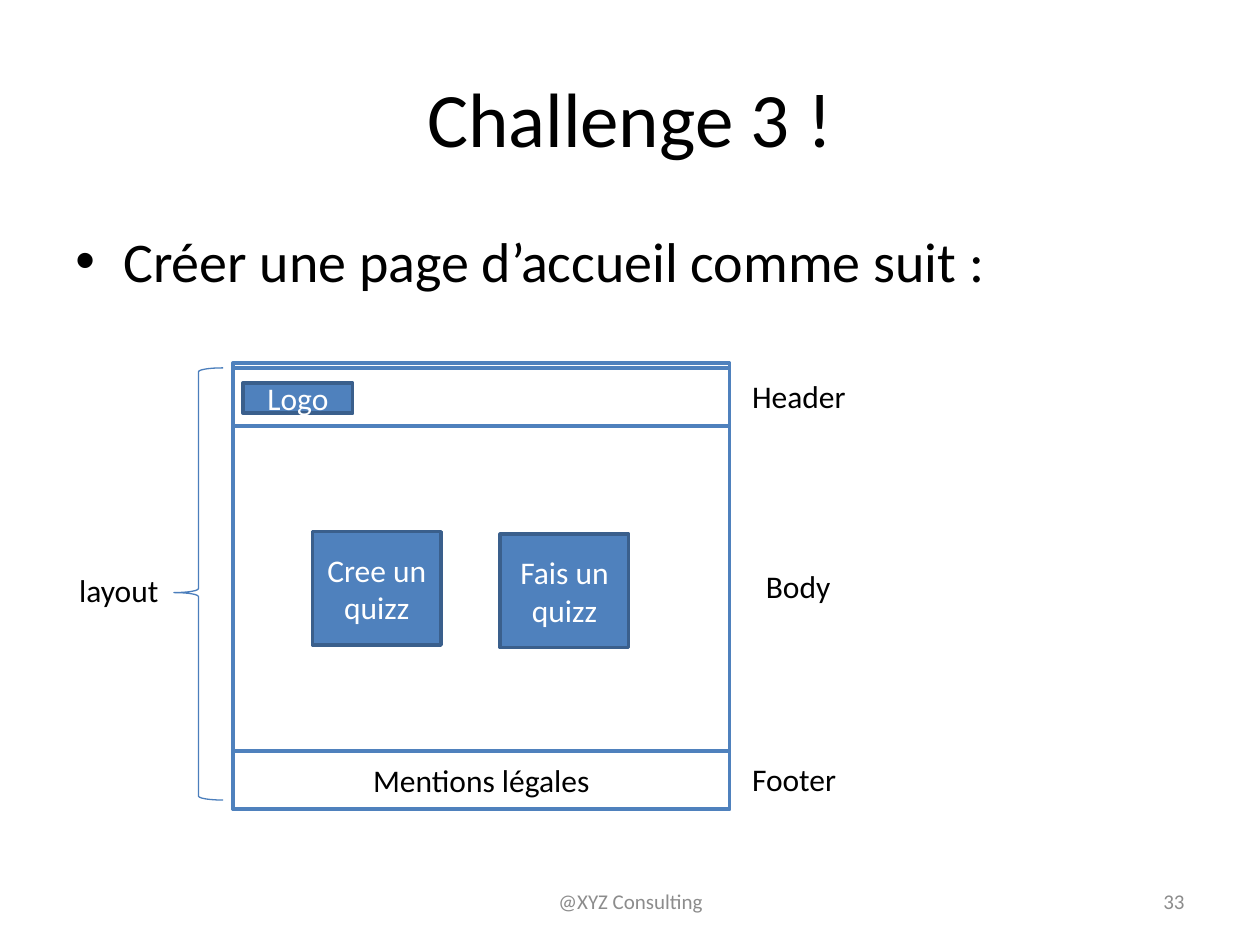
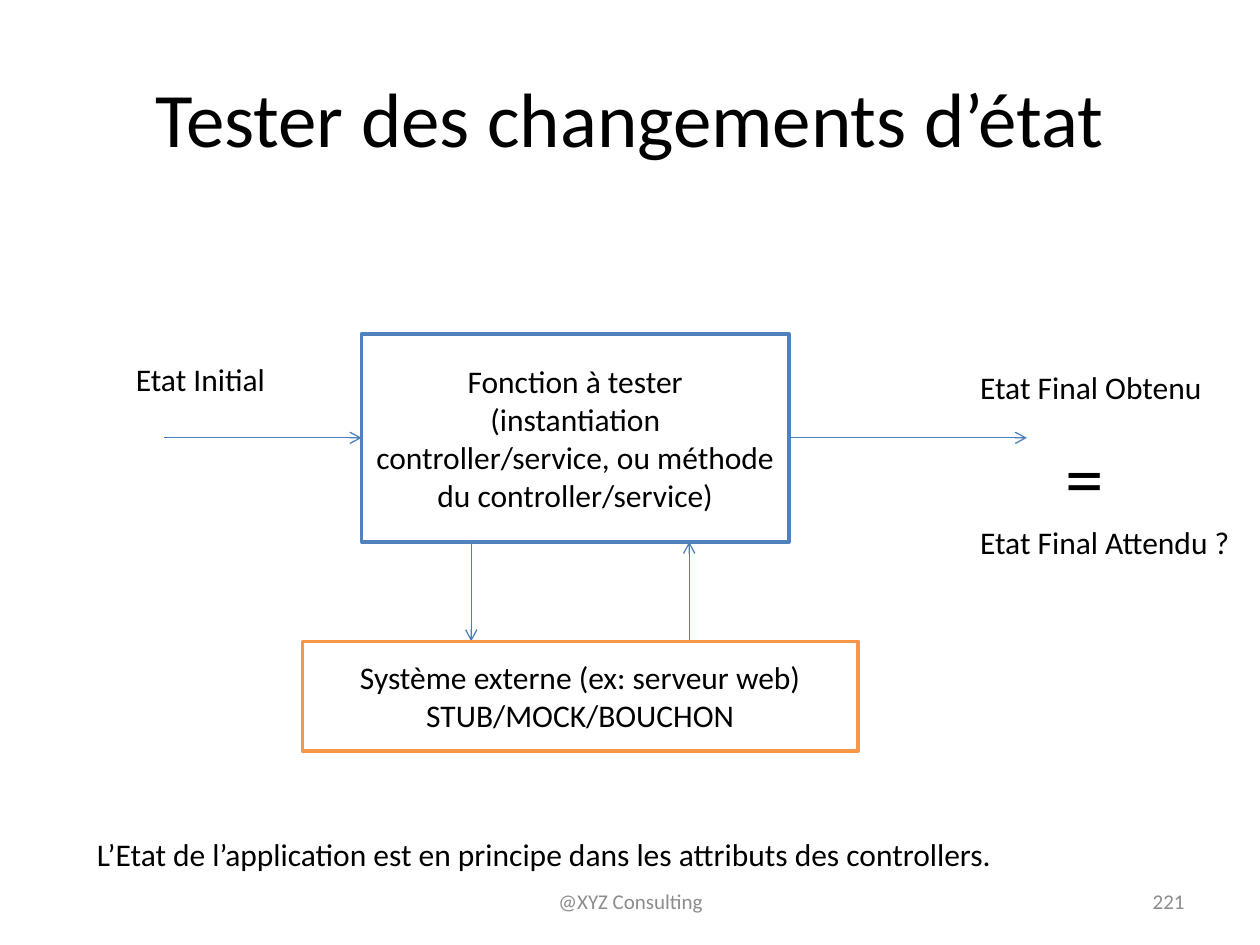
from lxml.etree import SubElement
from pptx import Presentation
from pptx.dml.color import RGBColor
from pptx.enum.shapes import MSO_CONNECTOR, MSO_SHAPE
from pptx.enum.text import MSO_ANCHOR, PP_ALIGN
from pptx.oxml.ns import qn
from pptx.util import Inches, Pt

COLUMNS, ROWS = 100, 75
CELL = Inches(0.1)
FONT = "Calibri"
BLACK, WHITE, GREY = "000000", "FFFFFF", "8C8C8C"
BLUE, DARK_BLUE, LINE_BLUE, ORANGE = "4F81BD", "3A5F8C", "4B7EBC", "F79646"
FOOTER = "@XYZ Consulting"
LABEL_HEIGHT = 4
TOP, LEFT, BOTTOM, RIGHT = range(4)


def grid(*cells):
    return [round(cell * CELL) for cell in cells]


def rgb(color):
    return RGBColor.from_string(color)


def write(frame, text, size, color, align, anchor, wrap=True):
    frame.text = text
    frame.word_wrap = wrap
    frame.vertical_anchor = anchor
    for paragraph in frame.paragraphs:
        paragraph.alignment = align
        for run in paragraph.runs:
            run.font.name = FONT
            run.font.size = Pt(size)
            run.font.color.rgb = rgb(color)


def add_text(slide, text, area, size=18, color=BLACK, align=PP_ALIGN.LEFT,
             anchor=MSO_ANCHOR.TOP, wrap=True):
    box = slide.shapes.add_textbox(*grid(*area))
    write(box.text_frame, text, size, color, align, anchor, wrap)
    return box


def add_label(slide, text, left, top, width, height=LABEL_HEIGHT, size=18):
    """One line of text that never wraps."""
    add_text(slide, text, (left, top, width, height), size, wrap=False)


def add_bullet(slide, text, area):
    box = add_text(slide, text, area, 32)
    properties = box.text_frame.paragraphs[0]._p.get_or_add_pPr()
    indent = Inches(0.38)
    properties.set("marL", str(indent))
    properties.set("indent", str(-indent))
    SubElement(properties, qn("a:buFont"), typeface="Arial")
    SubElement(properties, qn("a:buChar"), char="•")


def add_box(slide, area, text="", fill=WHITE, line=BLUE, color=BLACK):
    box = slide.shapes.add_shape(MSO_SHAPE.RECTANGLE, *grid(*area))
    box.shadow.inherit = False
    box.fill.solid()
    box.fill.fore_color.rgb = rgb(fill)
    box.line.color.rgb = rgb(line)
    box.line.width = Pt(2)
    write(box.text_frame, text, 18, color, PP_ALIGN.CENTER, MSO_ANCHOR.MIDDLE)
    return box


def add_button(slide, text, area):
    add_box(slide, area, text, BLUE, DARK_BLUE, WHITE)


def add_brace(slide, area):
    brace = slide.shapes.add_shape(MSO_SHAPE.LEFT_BRACE, *grid(*area))
    brace.shadow.inherit = False
    brace.fill.background()
    brace.line.color.rgb = rgb(LINE_BLUE)
    brace.line.width = Pt(0.75)
    brace.adjustments[0] = 0.08
    brace.adjustments[1] = 0.52


def add_arrow(slide, start, end):
    arrow = slide.shapes.add_connector(
        MSO_CONNECTOR.STRAIGHT, *grid(*start, *end))
    arrow.line.color.rgb = rgb(LINE_BLUE)
    arrow.line.width = Pt(0.75)
    SubElement(arrow.line._get_or_add_ln(), qn("a:tailEnd"), type="arrow")
    SubElement(arrow._element.spPr, qn("a:effectLst"))
    return arrow


def add_slide(deck, title, number):
    """A slide with the shared title, footer and slide number."""
    slide = deck.slides.add_slide(deck.slide_layouts[6])
    add_text(slide, title, (5, 3, COLUMNS - 10, 12.5), 44,
             align=PP_ALIGN.CENTER, anchor=MSO_ANCHOR.MIDDLE)
    for text, left, width, align in (
            (FOOTER, 34.2, 31.7, PP_ALIGN.CENTER),
            (str(number), 71.7, 23.3, PP_ALIGN.RIGHT)):
        add_text(slide, text, (left, ROWS - 5.5, width, 4), 12, GREY, align,
                 MSO_ANCHOR.MIDDLE)
    return slide


def build_challenge(deck):
    slide = add_slide(deck, "Challenge 3 !", 33)
    add_bullet(slide, "Créer une page d’accueil comme suit :",
               (5, 17.5, 90, 6.6))

    page_left, page_top, page_width, page_height = 18.5, 28.8, 39.4, 35.4
    band_height = 4.6
    header_top = page_top + 0.4
    footer_top = page_top + page_height - band_height
    add_box(slide, (page_left, page_top, page_width, page_height))
    add_box(slide, (page_left, header_top, page_width, band_height))
    add_box(slide, (page_left, footer_top, page_width, band_height),
            "Mentions légales")

    add_brace(slide, (13.8, header_top, 3.9, 34.3))
    add_label(slide, "layout", 5.3, 44.8, 8.4)

    add_button(slide, "Logo", (19.3, 30.4, 8.7, 2.4))
    add_button(slide, "Cree un quizz", (24.8, 42.2, 10.2, 9))
    add_button(slide, "Fais un quizz", (39.7, 42.4, 10.2, 9))

    add_label(slide, "Header", 58.7, header_top + 0.2, 9.5)
    add_text(slide, "Body", (59.8, 44.5, 9.4, LABEL_HEIGHT))
    add_text(slide, "Footer", (58.7, footer_top + 0.2, 10.2, LABEL_HEIGHT))


def build_state_test(deck):
    slide = add_slide(deck, "Tester des changements d’état", 221)
    tested_left, tested_top, tested_width, tested_height = 28.7, 26.5, 33.9, 16.5
    tested_right = tested_left + tested_width
    tested_bottom = tested_top + tested_height
    flow_row = tested_top + tested_height / 2
    external_top = 50.9

    tested = add_box(
        slide, (tested_left, tested_top, tested_width, tested_height),
        "Fonction à tester\v(instantiation controller/service, "
        "ou méthode du controller/service)")
    add_arrow(slide, (13, flow_row),
              (tested_left, flow_row)).end_connect(tested, LEFT)
    add_arrow(slide, (tested_right, flow_row),
              (81.5, flow_row)).begin_connect(tested, RIGHT)

    add_label(slide, "Etat Initial", 9.8, 28.1, 12.4)
    add_label(slide, "Etat Final Obtenu", 76.8, 28.7, 19.8)
    add_label(slide, "Etat Final Attendu ?", 76.8, 41, 22.1)
    add_label(slide, "=", 83.6, 33.6, 6.5, 8.4, 44)

    add_arrow(slide, (37.4, tested_bottom), (37.4, external_top))
    add_arrow(slide, (54.7, external_top), (54.7, tested_bottom))
    add_box(slide, (24, external_top, 44.1, 8.7),
            "Système externe (ex: serveur web)\nSTUB/MOCK/BOUCHON",
            line=ORANGE)
    add_label(slide, "L’Etat de l’application est en principe dans les "
              "attributs des controllers.", 6.7, 65.8, 73.3)


def main():
    deck = Presentation()
    deck.slide_width, deck.slide_height = grid(COLUMNS, ROWS)
    build_challenge(deck)
    build_state_test(deck)
    deck.save("out.pptx")


if __name__ == "__main__":
    main()
